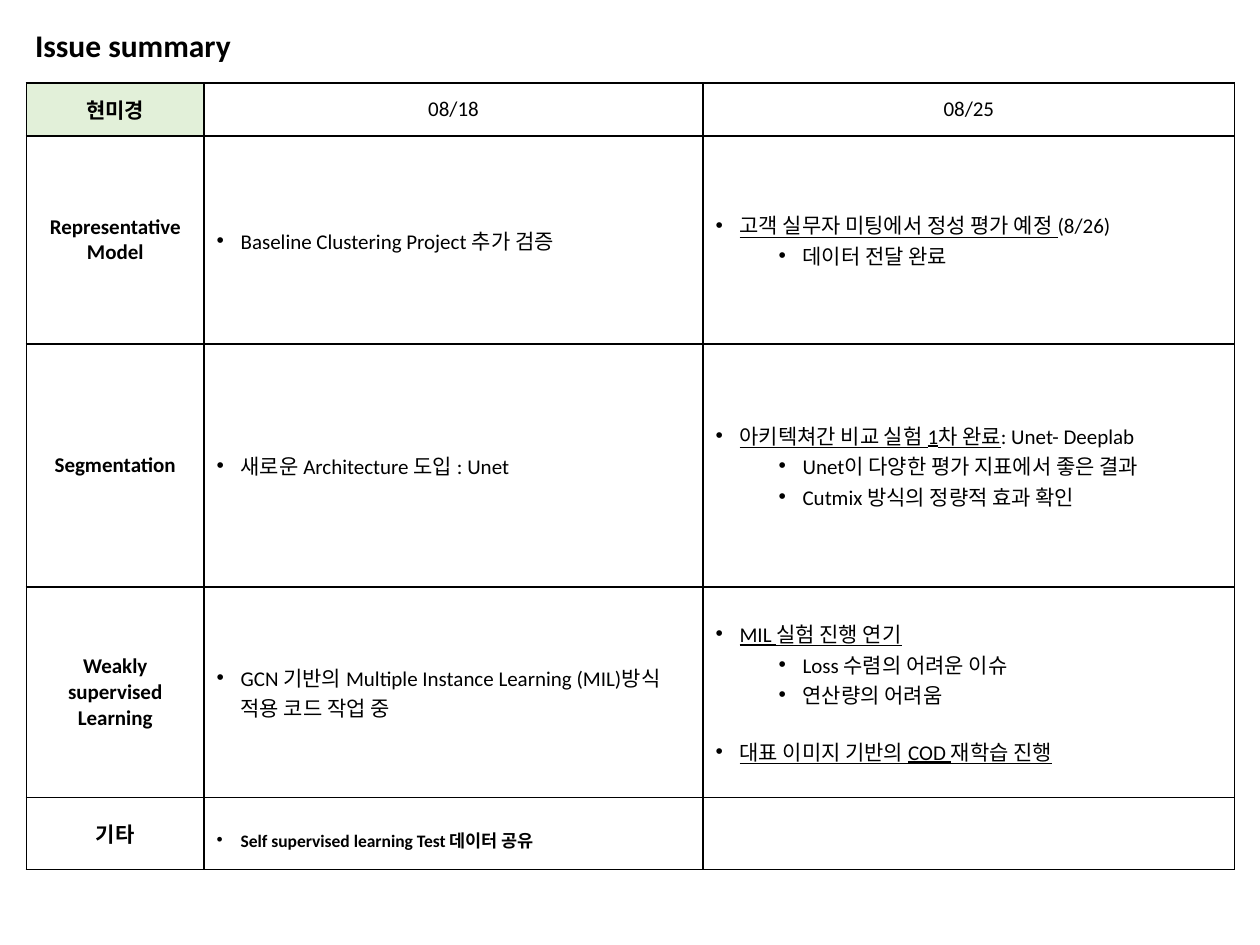
from dataclasses import dataclass

from lxml.etree import SubElement
from pptx import Presentation
from pptx.dml.color import RGBColor
from pptx.enum.text import MSO_ANCHOR, PP_ALIGN
from pptx.oxml.ns import qn
from pptx.util import Inches, Pt


@dataclass(frozen=True)
class Theme:
    font: str = "Calibri"
    ink: str = "000000"
    paper: str = "FFFFFF"
    accent: str = "E2F0D9"
    title_size: int = 18
    body_size: int = 12
    note_size: int = 10
    border: float = 1


THEME = Theme()

# Content: a bullet is (level, plain or underlined spans); "_" marks underlining
TITLE = "Issue summary"
HEADER = ["현미경", "08/18", "08/25"]
ISSUES = [
    (["Representative", "Model"],
     [(0, ["Baseline Clustering Project 추가 검증"])],
     [(0, ["_고객 실무자 미팅에서 정성 평가 예정 ", "(8/26)"]),
      (1, ["데이터 전달 완료"])]),
    (["Segmentation"],
     [(0, ["새로운 Architecture 도입 : Unet"])],
     [(0, ["_아키텍쳐간 비교 실험 1차 완료", ": Unet- Deeplab"]),
      (1, ["Unet이 다양한 평가 지표에서 좋은 결과"]),
      (1, ["Cutmix 방식의 정량적 효과 확인"])]),
    (["Weakly supervised", "Learning"],
     [(0, ["GCN 기반의 Multiple Instance Learning (MIL)방식 적용 코드 작업 중"])],
     [(0, ["_MIL 실험 진행 연기"]),
      (1, ["Loss 수렴의 어려운 이슈"]),
      (1, ["연산량의 어려움"]),
      (0, ["_대표 이미지 기반의 COD 재학습 진행"])]),
]
OTHER = (["기타"], [(0, ["Self supervised learning Test 데이터 공유"])], [])

COLUMN_WIDTHS = [1.41, 3.96, 4.22]
ROW_HEIGHTS = [0.42, 1.65, 1.93, 1.67, 0.57]
HANG, LEVEL_STEP = 0.19, 0.5
GROUP_GAP = Pt(15)


def add_span(para, text, size=THEME.body_size, bold=False, underline=False):
    span = para.add_run()
    span.text = text
    span.font.name = THEME.font
    span.font.size = Pt(size)
    span.font.bold = bold
    span.font.underline = underline
    span.font.color.rgb = RGBColor.from_string(THEME.ink)


def paragraphs(frame, count):
    return [frame.paragraphs[0]] + [frame.add_paragraph() for _ in range(count - 1)]


def style_cell(cell, fill):
    properties = cell._tc.get_or_add_tcPr()
    for side in ("lnL", "lnR", "lnT", "lnB"):
        line = SubElement(properties, qn(f"a:{side}"), w=str(Pt(THEME.border)))
        paint = SubElement(line, qn("a:solidFill"))
        SubElement(paint, qn("a:srgbClr"), val=THEME.ink)
    cell.fill.solid()
    cell.fill.fore_color.rgb = RGBColor.from_string(fill)
    cell.vertical_anchor = MSO_ANCHOR.MIDDLE


def write_label(cell, lines, bold=True):
    for para, line in zip(paragraphs(cell.text_frame, len(lines)), lines):
        para.alignment = PP_ALIGN.CENTER
        add_span(para, line, bold=bold)


def write_bullets(cell, bullets, size=THEME.body_size, bold=False, spacing=None):
    previous = 0
    for para, (level, spans) in zip(paragraphs(cell.text_frame, len(bullets)), bullets):
        para.level = level
        properties = para._p.get_or_add_pPr()
        properties.set("marL", str(Inches(HANG + LEVEL_STEP * level)))
        properties.set("indent", str(-Inches(HANG)))
        SubElement(properties, qn("a:buFont"), typeface="Arial")
        SubElement(properties, qn("a:buChar"), char="•")
        if spacing:
            para.line_spacing = spacing
        if level < previous:
            para.space_before = GROUP_GAP
        previous = level
        for text in spans:
            add_span(para, text.removeprefix("_"), size, bold, text.startswith("_"))


deck = Presentation()
deck.slide_width, deck.slide_height = Inches(10), Inches(7.5)
page = deck.slides.add_slide(deck.slide_layouts[6])

# Title
box = page.shapes.add_textbox(Inches(0.18), Inches(0.16), Inches(3.13), Inches(0.4))
box.text_frame.word_wrap = True
add_span(box.text_frame.paragraphs[0], TITLE, THEME.title_size, bold=True)

# Table grid
table = page.shapes.add_table(
    len(ROW_HEIGHTS), len(COLUMN_WIDTHS), Inches(0.21), Inches(0.66),
    Inches(sum(COLUMN_WIDTHS)), Inches(sum(ROW_HEIGHTS))).table
table.first_row = table.horz_banding = False
for column, width in zip(table.columns, COLUMN_WIDTHS):
    column.width = Inches(width)
for row, height in zip(table.rows, ROW_HEIGHTS):
    row.height = Inches(height)
for cell in table.iter_cells():
    style_cell(cell, THEME.paper)
table.cell(0, 0).fill.fore_color.rgb = RGBColor.from_string(THEME.accent)

# Header row
for index, heading in enumerate(HEADER):
    write_label(table.cell(0, index), [heading], bold=index == 0)

# Issue rows, then the closing row in small bold type
for index, (label, *weeks) in enumerate(ISSUES + [OTHER], start=1):
    write_label(table.cell(index, 0), label)
    closing = index > len(ISSUES)
    style = dict(size=THEME.note_size, bold=True, spacing=1.5) if closing else {}
    for column, bullets in enumerate(weeks, start=1):
        write_bullets(table.cell(index, column), bullets, **style)

deck.save("out.pptx")
